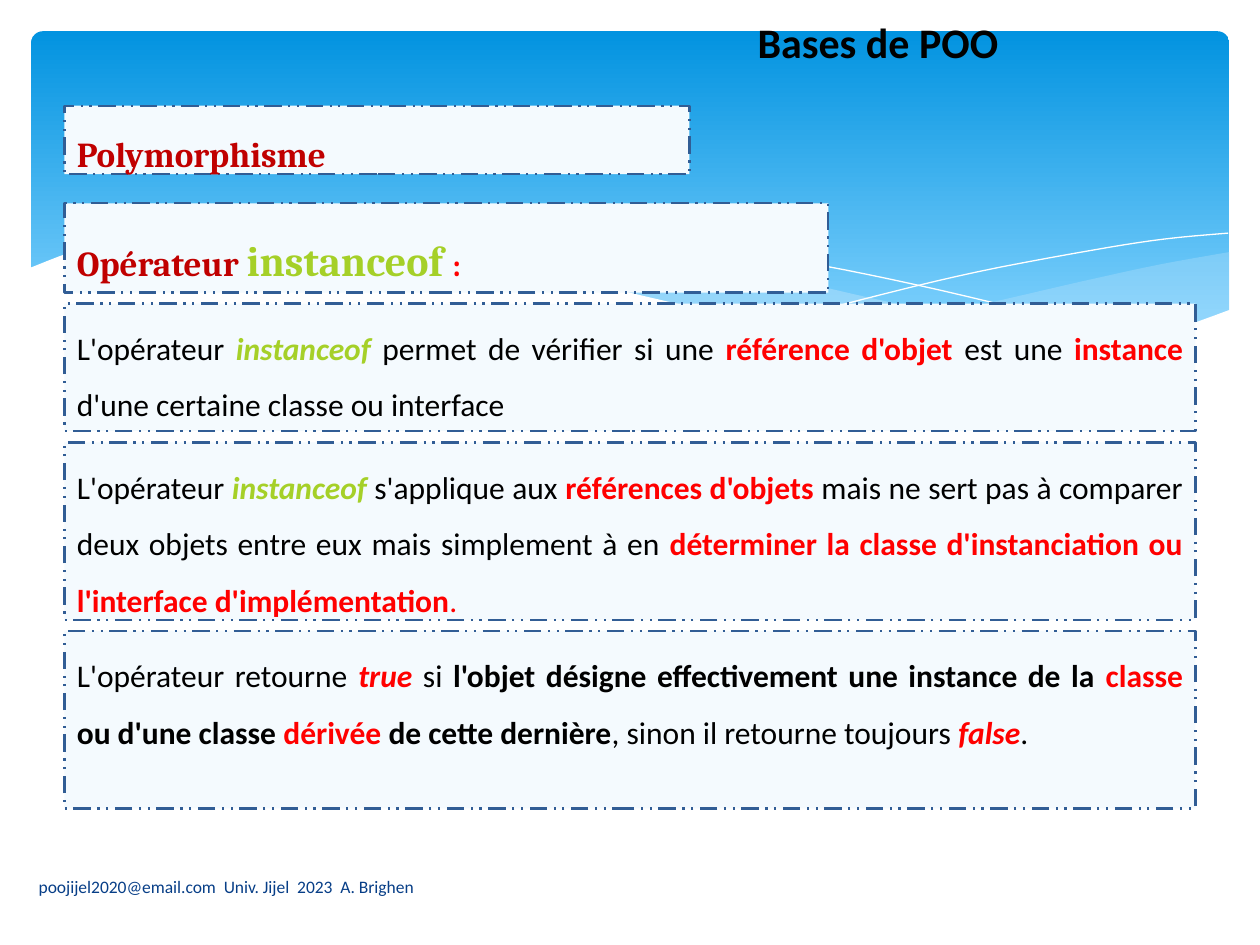
from lxml import etree
from pptx import Presentation
from pptx.dml.color import RGBColor
from pptx.enum.dml import MSO_LINE
from pptx.enum.shapes import MSO_SHAPE
from pptx.enum.text import MSO_ANCHOR, MSO_AUTO_SIZE, PP_ALIGN
from pptx.oxml.ns import qn
from pptx.util import Cm, Pt

RECTANGLE, ROUNDED = MSO_SHAPE.RECTANGLE, MSO_SHAPE.ROUNDED_RECTANGLE
DASH = MSO_LINE.DASH_DOT_DOT
LEFT, CENTER, JUSTIFY = PP_ALIGN.LEFT, PP_ALIGN.CENTER, PP_ALIGN.JUSTIFY
TOP, MIDDLE = MSO_ANCHOR.TOP, MSO_ANCHOR.MIDDLE
NO_AUTOFIT = MSO_AUTO_SIZE.NONE

WHITE = RGBColor(0xFF, 0xFF, 0xFF)
BLACK = RGBColor(0x00, 0x00, 0x00)
RED = RGBColor(0xFF, 0x00, 0x00)
DARK_RED = RGBColor(0xC0, 0x00, 0x00)
GREEN = RGBColor(0xA5, 0xD0, 0x28)
NAVY = RGBColor(0x07, 0x3E, 0x87)
SKY_TOP = RGBColor(0x02, 0x93, 0xE0)
SKY_BOTTOM = RGBColor(0x83, 0xD3, 0xFE)
WAVE = RGBColor(0xC6, 0xE7, 0xFC)
PANEL = RGBColor(0xF4, 0xFA, 0xFE)
PANEL_EDGE = RGBColor(0x31, 0x5D, 0x95)


def text_style(color, size=18, name="Calibri", bold=False, italic=False):
    """Return the colour and the font attributes of a run."""
    return color, {"size": Pt(size), "name": name, "bold": bold, "italic": italic}


PLAIN = text_style(BLACK)
STRONG = text_style(BLACK, bold=True)
KEY = text_style(RED, bold=True)
FULL_STOP = text_style(RED)
LITERAL = text_style(RED, bold=True, italic=True)
OPERATOR = text_style(GREEN, bold=True, italic=True)
HEADING = text_style(DARK_RED, 20, "Cambria", bold=True)
HEADING_OPERATOR = text_style(GREEN, 24, "Cambria", bold=True)
HEADING_COLON = text_style(RED, 18, "Cambria", bold=True)
TITLE = text_style(BLACK, 24, bold=True)
FOOTER = text_style(NAVY, 10)

PANELS = [
    ((1.3, 4.1, 15.4, 1.8), [
        ("Opérateur ", HEADING), ("instanceof ", HEADING_OPERATOR), (": ", HEADING_COLON)]),
    ((1.3, 2.13, 12.6, 1.38), [("Polymorphisme", HEADING)]),
    ((1.3, 6.12, 22.8, 2.57), [
        ("L'opérateur ", PLAIN), ("instanceof ", OPERATOR),
        ("permet de vérifier si une ", PLAIN), ("référence d'objet ", KEY),
        ("est une ", PLAIN), ("instance", KEY),
        (" d'une certaine classe ou interface", PLAIN)]),
    ((1.3, 8.92, 22.8, 3.58), [
        ("L'opérateur ", PLAIN), ("instanceof", OPERATOR), (" s'applique aux ", PLAIN),
        ("références d'objets ", KEY),
        ("mais ne sert pas à comparer deux objets entre eux mais simplement à en ", PLAIN),
        ("déterminer la classe d'instanciation ou l'interface d'implémentation", KEY),
        (".", FULL_STOP)]),
    ((1.3, 12.72, 22.8, 3.58), [
        ("L'opérateur retourne ", PLAIN), ("true ", LITERAL), ("si ", PLAIN),
        ("l'objet désigne effectivement une instance de la ", STRONG), ("classe", KEY),
        (" ou d'une classe ", STRONG), ("dérivée", KEY), (" de cette dernière", STRONG),
        (", sinon il retourne toujours ", PLAIN), ("false", LITERAL), (".", PLAIN)]),
]

RIGHT_CREST = [(24.21, 0.41), (22.81, 0.66), (21.29, 0.99), (19.2, 1.47), (17.35, 1.85),
               (16.21, 2.06)]
RIGHT_TROUGH = [(16.21, 2.06), (17.68, 2.24), (18.95, 2.36), (20.35, 2.36), (21.79, 2.26),
                (22.99, 2.01), (24.21, 1.6)]
LONG_CREST = [(22.1, 2.26), (19.91, 1.93), (17.35, 1.42), (15.39, 0.97), (13.51, 0.53),
              (11.84, 0.25), (10.08, 0.08), (8.59, 0.03), (6.68, 0.18)]
LONG_TROUGH = [(6.68, 0.18), (8.61, 0.48), (10.82, 0.97), (12.88, 1.42), (15.11, 1.88),
               (17.07, 2.18), (18.75, 2.36), (20.45, 2.39), (22.1, 2.26)]
FALLING_LINE = [(7.26, 0.28), (8.38, 0.13), (9.98, 0.08), (11.84, 0.15), (13.54, 0.33),
                (15.57, 0.61), (17.88, 1.07), (20.52, 1.7), (22.45, 2.24)]
RISING_LINE = [(14.99, 1.85), (17.07, 1.3), (19.13, 0.81), (21.41, 0.38), (22.89, 0.15),
               (24.18, 0.03)]
SHORE = [(24.23, 1.57), (23.04, 1.98), (21.64, 2.26), (19.96, 2.36), (17.86, 2.24),
         (15.88, 1.98), (13.51, 1.55), (10.77, 0.91), (8.69, 0.46), (6.83, 0.15),
         (5.26, 0.03), (3.91, 0), (2.44, 0.08), (1.12, 0.33), (0, 0.74)]
SHORE_BASE = [(0, 3.68), (24.23, 3.68)]


def smooth(knots, steps=5):
    """Return points on a Catmull-Rom curve through the knots."""
    padded = [knots[0], *knots, knots[-1]]
    points = []
    for a, b, c, d in zip(padded, padded[1:], padded[2:], padded[3:]):
        for step in range(steps):
            t = step / steps
            points.append(tuple(
                q + t * (r - p) / 2 + t**2 * (2 * p - 5 * q + 4 * r - s) / 2
                + t**3 * (3 * q - p - 3 * r + s) / 2
                for p, q, r, s in zip(a, b, c, d)))
    return points + [knots[-1]]


def write(frame, runs, align, anchor, spacing):
    """Write one paragraph of styled runs into a text frame."""
    for attribute, value in {"auto_size": NO_AUTOFIT, "word_wrap": True,
                             "vertical_anchor": anchor}.items():
        setattr(frame, attribute, value)
    paragraph = frame.paragraphs[0]
    paragraph.alignment = align
    paragraph.line_spacing = spacing
    for text, (color, font_values) in runs:
        run = paragraph.add_run()
        run.text = text
        run.font.color.rgb = color
        for attribute, value in font_values.items():
            setattr(run.font, attribute, value)


def add_wave(slide, box, points, alpha=None, closed=True):
    """Draw a filled wave, or a white hairline when it is not closed."""
    left, top = box[:2]
    places = [(Cm(left + x), Cm(top + y)) for x, y in points]
    builder = slide.shapes.build_freeform(*places[0])
    builder.add_line_segments(places[1:], close=closed)
    wave = builder.convert_to_shape()
    wave.shadow.inherit = False
    if not closed:
        wave.fill.background()
        wave.line.color.rgb = WHITE
        wave.line.width = Pt(0)
        return
    wave.line.fill.background()
    wave.fill.solid()
    wave.fill.fore_color.rgb = WAVE if alpha else WHITE
    if alpha:
        color = wave.fill._xPr.find(".//" + qn("a:srgbClr"))
        etree.SubElement(color, qn("a:alpha")).set("val", str(alpha * 1000))


def add_banner(slide, box):
    """Draw the blue gradient banner with its waves near the lower edge."""
    left, top, width, height = box
    sky = slide.shapes.add_shape(ROUNDED, *map(Cm, box))
    sky.adjustments[0] = 0.034
    sky.shadow.inherit = False
    sky.line.fill.background()
    sky.fill.gradient()
    sky.fill.gradient_angle = 270
    for stop, color, position in zip(sky.fill.gradient_stops, (SKY_TOP, SKY_BOTTOM), (0, 0.9)):
        stop.color.rgb = color
        stop.position = position
    waves = (left - 0.05, top + 4.04, width + 0.1, height - 3.18)
    add_wave(slide, waves, smooth(RIGHT_CREST) + smooth(RIGHT_TROUGH), alpha=29)
    add_wave(slide, waves, smooth(LONG_CREST) + smooth(LONG_TROUGH), alpha=40)
    for line in (FALLING_LINE, RISING_LINE):
        add_wave(slide, waves, smooth(line), closed=False)
    add_wave(slide, waves, smooth(SHORE) + SHORE_BASE)


def add_panel(slide, box, runs):
    """Draw a pale panel with a dashed edge and justified text."""
    panel = slide.shapes.add_shape(RECTANGLE, *map(Cm, box))
    panel.shadow.inherit = False
    panel.fill.solid()
    panel.fill.fore_color.rgb = PANEL
    panel.line.color.rgb = PANEL_EDGE
    for attribute, value in {"width": Pt(1.25), "dash_style": DASH}.items():
        setattr(panel.line, attribute, value)
    write(panel.text_frame, runs, JUSTIFY, TOP, 1.5)


def add_title(slide, box):
    """Move the title placeholder to its box, in front of the banner."""
    title = slide.shapes.title
    for attribute, value in zip(("left", "top", "width", "height"), box):
        setattr(title, attribute, Cm(value))
    slide.shapes._spTree.append(title._element)
    write(title.text_frame, [("Bases de POO", TITLE)], CENTER, TOP, 0.9)


def add_footer(slide, box):
    """Write the contact line at the foot of the slide."""
    footer = slide.shapes.add_textbox(*map(Cm, box))
    contact = "poojijel2020@email.com  Univ. Jijel  2023  A. Brighen"
    write(footer.text_frame, [(contact, FOOTER)], LEFT, MIDDLE, 1.0)


def main():
    """Build the slide and save it."""
    deck = Presentation()
    deck.slide_width, deck.slide_height = Cm(25.4), Cm(19.05)
    slide = deck.slides.add_slide(deck.slide_layouts.get_by_name("Title Only"))
    add_banner(slide, (0.63, 0.63, 24.15, 6.86))
    add_title(slide, (12.9, 0.33, 9.6, 1.17))
    for box, runs in PANELS:
        add_panel(slide, box, runs)
    add_footer(slide, (0.53, 17.37, 10.52, 1.02))
    deck.save("out.pptx")


if __name__ == "__main__":
    main()
